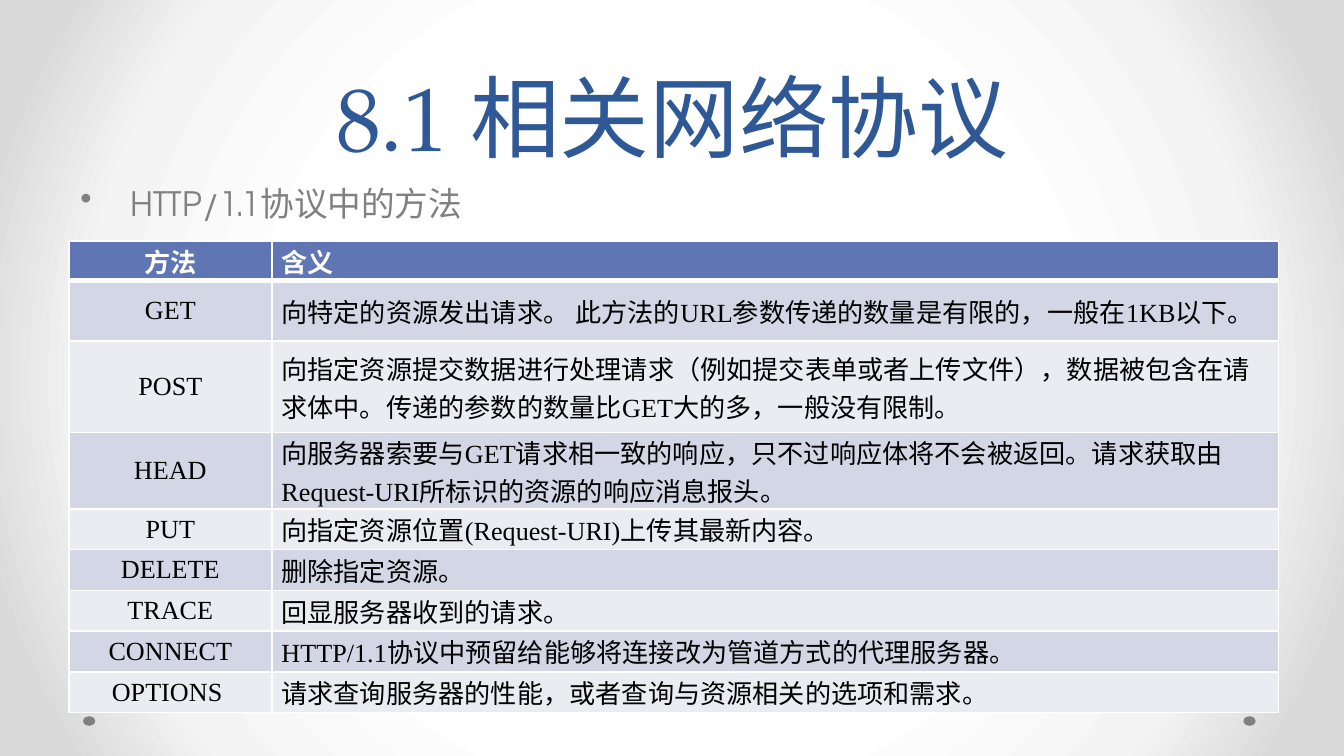
from dataclasses import dataclass

from lxml import etree
from pptx import Presentation
from pptx.dml.color import RGBColor as RGB
from pptx.enum.shapes import MSO_SHAPE as Shape
from pptx.enum.text import MSO_ANCHOR as Anchor
from pptx.enum.text import MSO_AUTO_SIZE as AutoSize
from pptx.enum.text import PP_ALIGN as Align
from pptx.oxml import parse_xml
from pptx.oxml.ns import nsdecls, qn
from pptx.util import Cm, Pt


@dataclass(frozen=True)
class Theme:
    title_font: str = "TeX Gyre Pagella"
    body_font: str = "TeX Gyre Adventor"
    table_font: str = "Times New Roman"
    title_size: int = 48
    body_size: int = 18
    table_size: int = 14
    title: str = "2F5897"
    grey: str = "808080"
    header: str = "6076B4"
    bands: tuple = ("D2D6E5", "EAECF2")
    white: str = "FFFFFF"
    black: str = "000000"
    glow: tuple = ((50, "FFFFFF"), (76, "F4F4F4"), (92, "DADADA"))


class SlideBuilder:
    def __init__(self, prs, theme):
        self.theme = theme
        self.slide = prs.slides.add_slide(prs.slide_layouts[5])

    def style(self, p, font, size, color, bold=False, align=Align.LEFT):
        p.font.name, p.font.size, p.font.bold = font, Pt(size), bold
        p.font.color.rgb = RGB.from_string(color)
        p.alignment = align

    def background(self):
        stops = "".join(
            f'<a:gs pos="{pos * 1000}"><a:srgbClr val="{color}"/></a:gs>'
            for pos, color in self.theme.glow
        )
        bg = parse_xml(
            f'<p:bg {nsdecls("p", "a")}><p:bgPr><a:gradFill rotWithShape="1">'
            f'<a:gsLst>{stops}</a:gsLst><a:path path="circle">'
            '<a:fillToRect l="50000" t="50000" r="50000" b="50000"/></a:path>'
            "</a:gradFill><a:effectLst/></p:bgPr></p:bg>"
        )
        self.slide.element.cSld.insert(0, bg)

    def dot(self, x, y, w, h):
        sp = self.slide.shapes.add_shape(Shape.OVAL, Cm(x), Cm(y), Cm(w), Cm(h))
        sp.shadow.inherit = False
        sp.fill.solid()
        sp.fill.fore_color.rgb = RGB.from_string(self.theme.grey)
        sp.line.fill.background()

    def title(self, text, x, y, w, h):
        t, sp = self.theme, self.slide.shapes.title
        sp.left, sp.top, sp.width, sp.height = Cm(x), Cm(y), Cm(w), Cm(h)
        tf = sp.text_frame
        tf.text = text
        tf.auto_size = AutoSize.NONE
        tf.vertical_anchor = Anchor.BOTTOM
        p = tf.paragraphs[0]
        p.line_spacing = Pt(58)
        self.style(p, t.title_font, t.title_size, t.title, align=Align.CENTER)

    def bullet(self, text, x, y, w, h):
        t = self.theme
        tf = self.slide.shapes.add_textbox(Cm(x), Cm(y), Cm(w), Cm(h)).text_frame
        tf.word_wrap = True
        p = tf.paragraphs[0]
        p.text = text
        p.space_before = Pt(3.6)
        self.style(p, t.body_font, t.body_size, t.grey)
        pPr = p._p.get_or_add_pPr()
        indent = Cm(0.95)
        pPr.set("marL", str(indent))
        pPr.set("indent", str(-indent))
        # The bullet belongs just before the default run properties
        bu = etree.Element(qn("a:buChar"), char="•")
        pPr.find(qn("a:defRPr")).addprevious(bu)

    def bottom_rule(self, cell, points):
        ln = parse_xml(
            f'<a:lnB {nsdecls("a")} w="{Pt(points)}"><a:solidFill>'
            f'<a:srgbClr val="{self.theme.white}"/></a:solidFill></a:lnB>'
        )
        cell._tc.get_or_add_tcPr().insert(0, ln)

    def table(self, rows, x, y, widths, heights):
        t = self.theme
        tbl = self.slide.shapes.add_table(
            len(rows), len(widths), Cm(x), Cm(y), Cm(sum(widths)), Cm(sum(heights))
        ).table
        for col, width in zip(tbl.columns, widths):
            col.width = Cm(width)
        for i, (row, height) in enumerate(zip(rows, heights)):
            tbl.rows[i].height = Cm(height)
            is_header = i == 0
            fill = t.header if is_header else t.bands[(i - 1) % 2]
            color = t.white if is_header else t.black
            for j, text in enumerate(row):
                cell = tbl.cell(i, j)
                cell.text = text
                cell.fill.solid()
                cell.fill.fore_color.rgb = RGB.from_string(fill)
                cell.vertical_anchor = Anchor.MIDDLE
                cell.margin_left = cell.margin_right = Cm(0.18)
                cell.margin_top = cell.margin_bottom = 0
                if is_header:
                    self.bottom_rule(cell, 3)
                align = Align.CENTER if j == 0 else Align.LEFT
                self.style(cell.text_frame.paragraphs[0], t.table_font,
                           t.table_size, color, is_header, align)


METHODS = [
    ("方法", "含义"),
    ("GET", "向特定的资源发出请求。 此方法的URL参数传递的数量是有限的，一般在1KB以下。"),
    ("POST", "向指定资源提交数据进行处理请求（例如提交表单或者上传文件），"
             "数据被包含在请求体中。传递的参数的数量比GET大的多，一般没有限制。"),
    ("HEAD", "向服务器索要与GET请求相一致的响应，只不过响应体将不会被返回。"
             "请求获取由Request-URI所标识的资源的响应消息报头。"),
    ("PUT", "向指定资源位置(Request-URI)上传其最新内容。"),
    ("DELETE", "删除指定资源。"),
    ("TRACE", "回显服务器收到的请求。"),
    ("CONNECT", "HTTP/1.1协议中预留给能够将连接改为管道方式的代理服务器。"),
    ("OPTIONS ", "请求查询服务器的性能，或者查询与资源相关的选项和需求。"),
]


def main():
    prs = Presentation()
    prs.slide_width, prs.slide_height = Cm(25.4), Cm(14.29)
    s = SlideBuilder(prs, Theme())

    # Backdrop with a dot in each lower corner
    s.background()
    for x in (23.5, 1.57):
        s.dot(x, 13.54, 0.23, 0.18)

    # Heading and topic
    s.title("8.1 相关网络协议", 1.27, 0, 22.86, 3.33)
    s.bullet("HTTP/1.1协议中的方法", 1.27, 3.33, 22.86, 9.42)

    # Request methods; the HEAD row holds two full lines
    heights = [0.76, 1.14, 1.73, 1.44] + [0.77] * 5
    s.table(METHODS, 1.3, 4.55, [3.84, 19.02], heights)

    prs.save("out.pptx")


if __name__ == "__main__":
    main()
